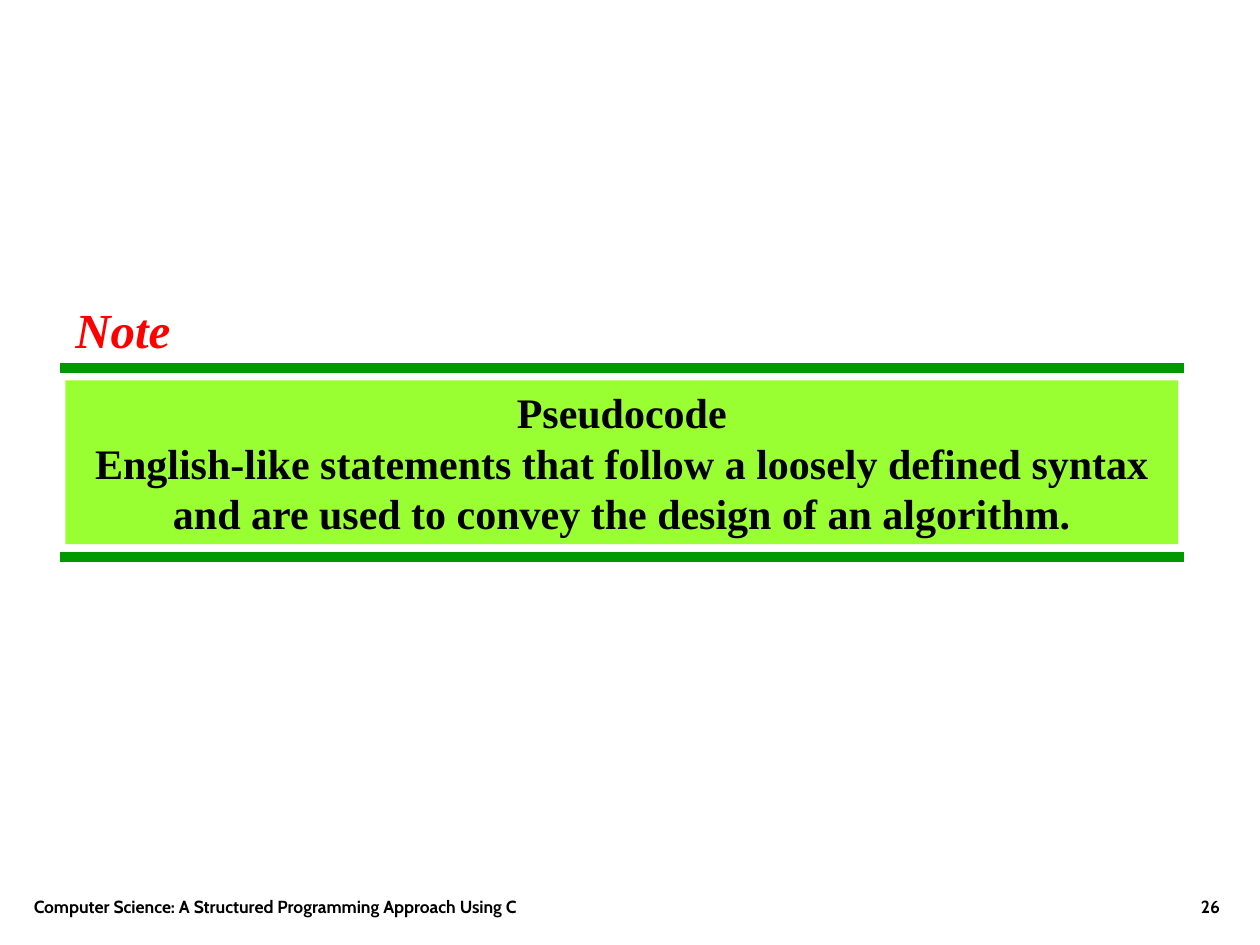
import pptx
import pptx.dml.color
import pptx.enum.shapes
import pptx.enum.text
import pptx.oxml.ns
import pptx.util
from dataclasses import dataclass
from lxml import etree

Inches, Pt = pptx.util.Inches, pptx.util.Pt
RGB = pptx.dml.color.RGBColor.from_string
ALIGN = pptx.enum.text.PP_ALIGN
ANCHOR = pptx.enum.text.MSO_ANCHOR


@dataclass(frozen=True)
class Theme:
    rule: str = "009900"
    panel: str = "99FF33"
    note: str = "FF0000"
    ink: str = "000000"
    serif: str = "Times New Roman"
    sans: str = "Cabin"
    note_size: float = 28
    body_size: float = 24
    body_leading: float = 28.8
    footer_size: float = 10
    rule_width: float = 6


THEME = Theme()


def add_rule(slide, y):
    line = slide.shapes.add_connector(
        pptx.enum.shapes.MSO_CONNECTOR.STRAIGHT,
        Inches(0.48), Inches(y), Inches(9.4), Inches(y))
    line.line.color.rgb = RGB(THEME.rule)
    line.line.width = Pt(THEME.rule_width)
    etree.SubElement(line._element.spPr, pptx.oxml.ns.qn("a:effectLst"))


def set_text(sp, lines, font, size, color, align, anchor=ANCHOR.TOP,
             italic=None, wrap=True, leading=None):
    tf = sp.text_frame
    tf.word_wrap = wrap
    tf.vertical_anchor = anchor
    for i, text in enumerate(lines):
        p = tf.add_paragraph() if i else tf.paragraphs[0]
        p.alignment = align
        if leading:
            p.line_spacing = Pt(leading)
        r = p.add_run()
        r.text = text
        r.font.name = font
        r.font.size = Pt(size)
        r.font.bold = True
        r.font.italic = italic
        r.font.color.rgb = RGB(color)


def add_panel(slide, lines):
    sp = slide.shapes.add_shape(
        pptx.enum.shapes.MSO_SHAPE.RECTANGLE,
        Inches(0.52), Inches(3.02), Inches(8.83), Inches(1.3))
    sp.shadow.inherit = False
    sp.fill.solid()
    sp.fill.fore_color.rgb = RGB(THEME.panel)
    sp.line.fill.background()
    set_text(sp, lines, THEME.serif, THEME.body_size, THEME.ink,
             ALIGN.CENTER, leading=THEME.body_leading)


def add_note(slide, text):
    sp = slide.shapes.add_textbox(
        Inches(0.49), Inches(2.33), Inches(0.97), Inches(0.57))
    set_text(sp, [text], THEME.serif, THEME.note_size, THEME.note,
             ALIGN.CENTER, italic=True, wrap=False)
    # The box grows with its single line
    sp.text_frame.auto_size = pptx.enum.text.MSO_AUTO_SIZE.SHAPE_TO_FIT_TEXT


def add_footer(slide, text, left, width, align):
    sp = slide.shapes.add_textbox(
        Inches(left), Inches(6.83), Inches(width), Inches(0.5))
    set_text(sp, [text], THEME.sans, THEME.footer_size, THEME.ink,
             align, anchor=ANCHOR.BOTTOM)


def main():
    prs = pptx.Presentation()
    prs.slide_width, prs.slide_height = Inches(10), Inches(7.5)
    slide = prs.slides.add_slide(prs.slide_layouts[6])

    # Definition panel between two rules
    for y in (2.92, 4.42):
        add_rule(slide, y)
    add_panel(slide, [
        "Pseudocode",
        "English-like statements that follow a loosely defined syntax "
        "and are used to convey the design of an algorithm.",
    ])
    add_note(slide, "Note")

    # Footer: book title and page number
    add_footer(slide, "Computer Science: A Structured Programming Approach Using C",
               0.17, 5.67, ALIGN.LEFT)
    add_footer(slide, "26", 7.7, 2.08, ALIGN.RIGHT)

    prs.save("out.pptx")


if __name__ == "__main__":
    main()
